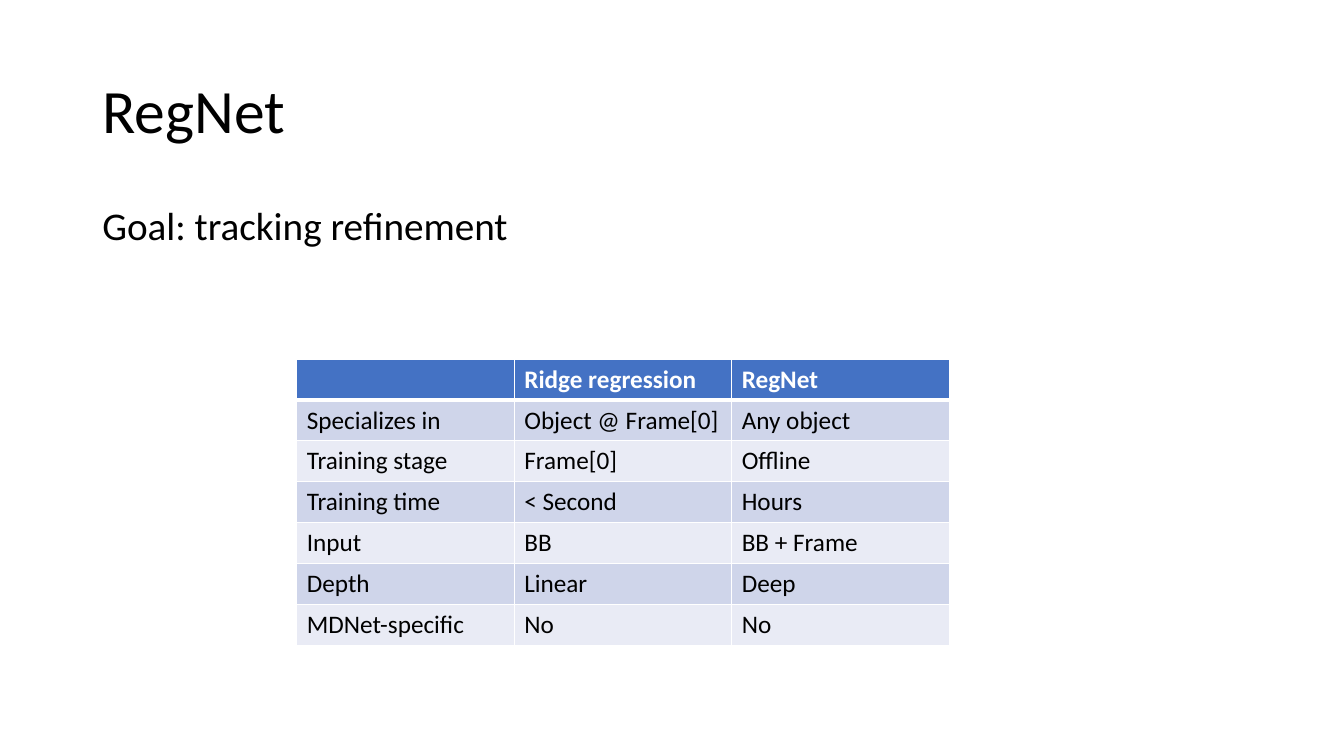
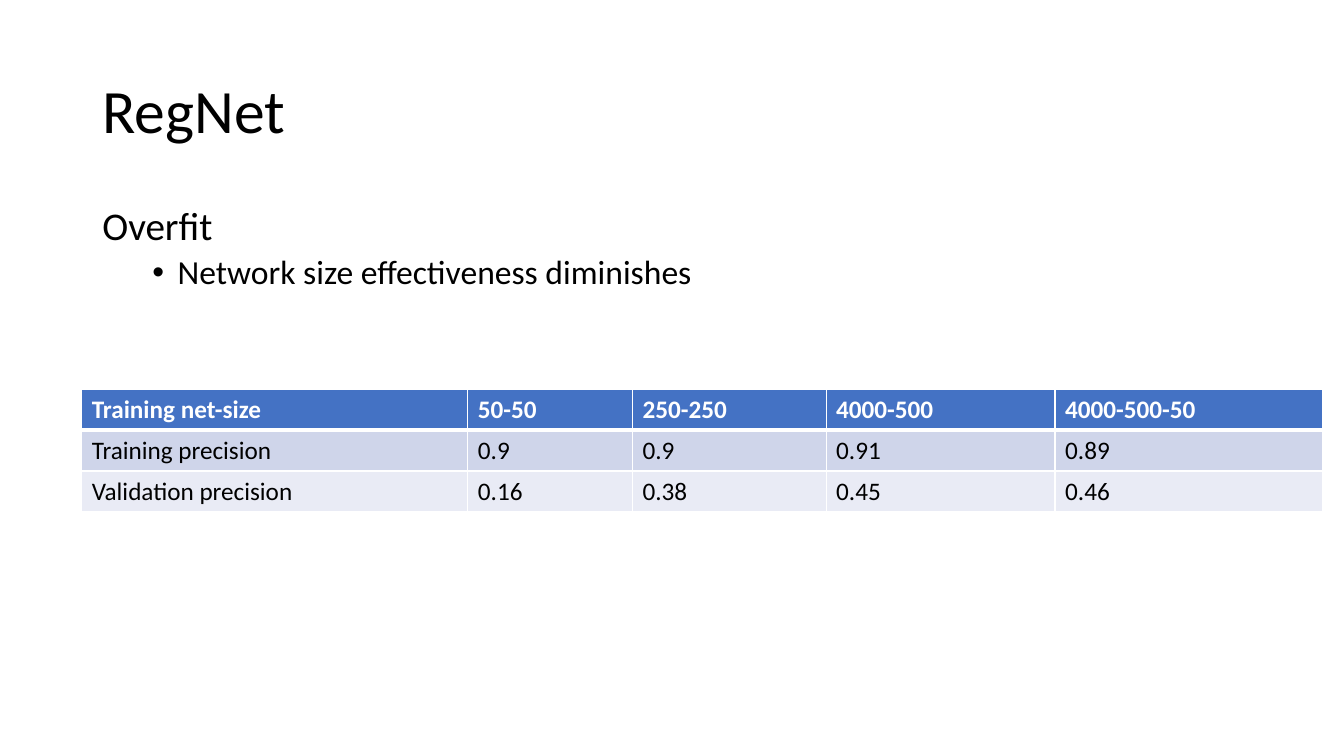
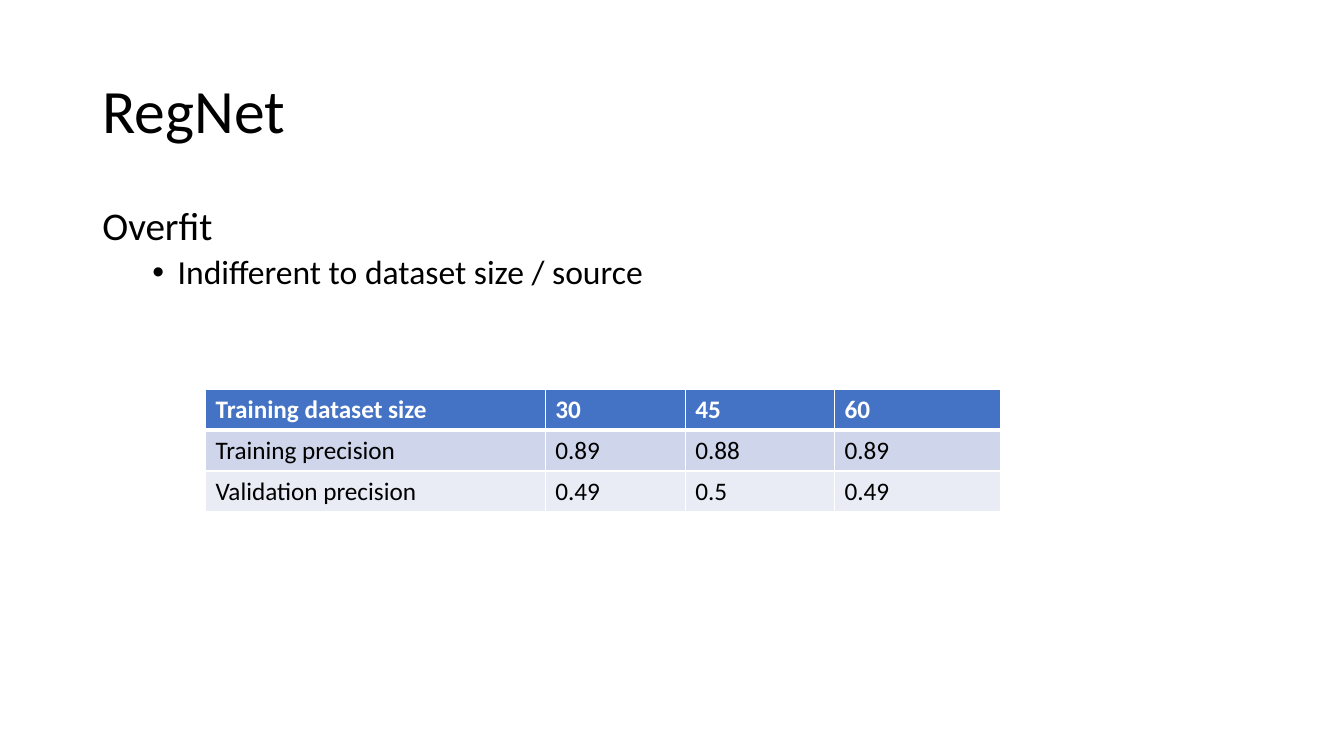
from dataclasses import dataclass

from lxml.etree import SubElement
from pptx import Presentation
from pptx.dml.color import RGBColor
from pptx.enum.text import MSO_ANCHOR, MSO_AUTO_SIZE, PP_ALIGN
from pptx.oxml.ns import qn
from pptx.util import Cm, Pt

# Shared style
FONT = "Calibri"
BLACK = RGBColor(0x00, 0x00, 0x00)
WHITE = RGBColor(0xFF, 0xFF, 0xFF)
HEADER = RGBColor(0x44, 0x72, 0xC4)
BANDS = (RGBColor(0xCF, 0xD5, 0xEA), RGBColor(0xE9, 0xEB, 0xF5))

MARGIN, CONTENT_W = Cm(2.33), Cm(29.21)
ROW_H = Cm(1.03)
THIN, THICK = Pt(1), Pt(3)


@dataclass(frozen=True)
class TableSlide:
    title: str
    heading: str
    bullets: tuple[str, ...]
    left: float  # table position and column widths in cm
    top: float
    widths: tuple[float, ...]
    rows: tuple[tuple[str, ...], ...]


SLIDES = (
    TableSlide(
        "RegNet", "Goal: tracking refinement", (),
        7.48, 9.05, (5.48,) * 3,
        (
            ("", "Ridge regression", "RegNet"),
            ("Specializes in", "Object @ Frame[0]", "Any object"),
            ("Training stage", "Frame[0]", "Offline"),
            ("Training time", "< Second", "Hours"),
            ("Input", "BB", "BB + Frame"),
            ("Depth", "Linear", "Deep"),
            ("MDNet-specific", "No", "No"),
        ),
    ),
    TableSlide(
        "RegNet", "Overfit", ("Network size effectiveness diminishes",),
        2.06, 9.81, (9.73, 4.15, 4.88, 5.77, 6.73),
        (
            ("Training net-size", "50-50", "250-250", "4000-500", "4000-500-50"),
            ("Training precision", "0.9", "0.9", "0.91", "0.89"),
            ("Validation precision", "0.16", "0.38", "0.45", "0.46"),
        ),
    ),
    TableSlide(
        "RegNet", "Overfit", ("Indifferent to dataset size / source",),
        5.18, 9.81, (8.56, 3.53, 3.76, 4.19),
        (
            ("Training dataset size", "30", "45", "60"),
            ("Training precision", "0.89", "0.88", "0.89"),
            ("Validation precision", "0.49", "0.5", "0.49"),
        ),
    ),
)


def add_run(p, text: str, size: int, color: RGBColor = BLACK, bold: bool = False) -> None:
    r = p.add_run()
    r.text = text
    r.font.name = FONT
    r.font.size = Pt(size)
    r.font.bold = bold
    r.font.color.rgb = color


def set_title(slide, text: str) -> None:
    sp = slide.shapes.title
    sp.left, sp.top, sp.width, sp.height = MARGIN, Cm(1.01), CONTENT_W, Cm(3.68)
    tf = sp.text_frame
    tf.auto_size = MSO_AUTO_SIZE.NONE
    tf.vertical_anchor = MSO_ANCHOR.MIDDLE
    p = tf.paragraphs[0]
    p.alignment = PP_ALIGN.LEFT
    p.line_spacing = 0.9
    add_run(p, text, 44)


def add_body(slide, heading: str, bullets: tuple[str, ...]) -> None:
    tf = slide.shapes.add_textbox(MARGIN, Cm(5.07), CONTENT_W, Cm(12.09)).text_frame
    tf.word_wrap = True
    p = tf.paragraphs[0]
    p.line_spacing = 0.9
    add_run(p, heading, 28)
    for bullet in bullets:
        p = tf.add_paragraph()
        p.level = 1
        p.line_spacing = 0.9
        p.space_before = Pt(5)
        pPr = p._p.get_or_add_pPr()
        pPr.set("marL", str(Cm(1.9)))
        pPr.set("indent", str(-Cm(0.64)))
        SubElement(pPr, qn("a:buFont"), typeface="Arial")
        SubElement(pPr, qn("a:buChar"), char="•")
        add_run(p, bullet, 24)


def set_borders(cell, top: int, bottom: int) -> None:
    tcPr = cell._tc.get_or_add_tcPr()
    for side, width in (("L", THIN), ("R", THIN), ("T", top), ("B", bottom)):
        ln = SubElement(tcPr, qn(f"a:ln{side}"), w=str(width))
        fill = SubElement(ln, qn("a:solidFill"))
        SubElement(fill, qn("a:srgbClr"), val=str(WHITE))


def add_data_table(slide, data: TableSlide) -> None:
    widths = [Cm(w) for w in data.widths]
    n_rows = len(data.rows)
    table = slide.shapes.add_table(
        n_rows, len(widths), Cm(data.left), Cm(data.top), sum(widths), ROW_H * n_rows
    ).table
    for column, width in zip(table.columns, widths):
        column.width = width
    for i, row in enumerate(data.rows):
        is_header = i == 0
        for j, text in enumerate(row):
            cell = table.cell(i, j)
            # The thick rule separates the header from the first data row
            set_borders(cell, THICK if i == 1 else THIN, THICK if is_header else THIN)
            cell.fill.solid()
            cell.fill.fore_color.rgb = HEADER if is_header else BANDS[(i - 1) % 2]
            if text:
                add_run(cell.text_frame.paragraphs[0], text, 18,
                        WHITE if is_header else BLACK, is_header)


def main() -> None:
    prs = Presentation()
    prs.slide_width, prs.slide_height = Cm(33.87), Cm(19.05)
    title_only = prs.slide_layouts[5]
    for data in SLIDES:
        s = prs.slides.add_slide(title_only)
        set_title(s, data.title)
        add_body(s, data.heading, data.bullets)
        add_data_table(s, data)
    prs.save("out.pptx")


if __name__ == "__main__":
    main()
